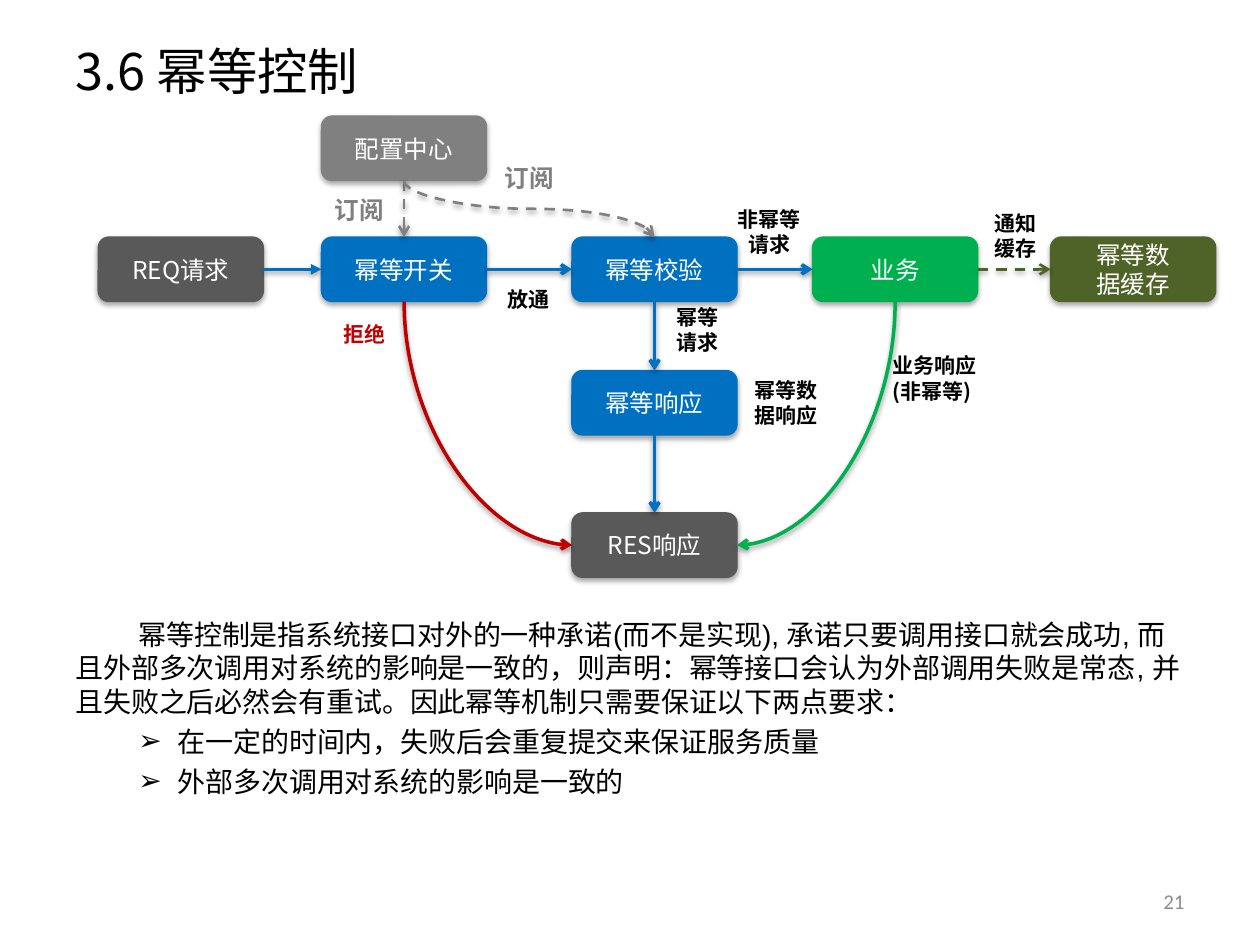
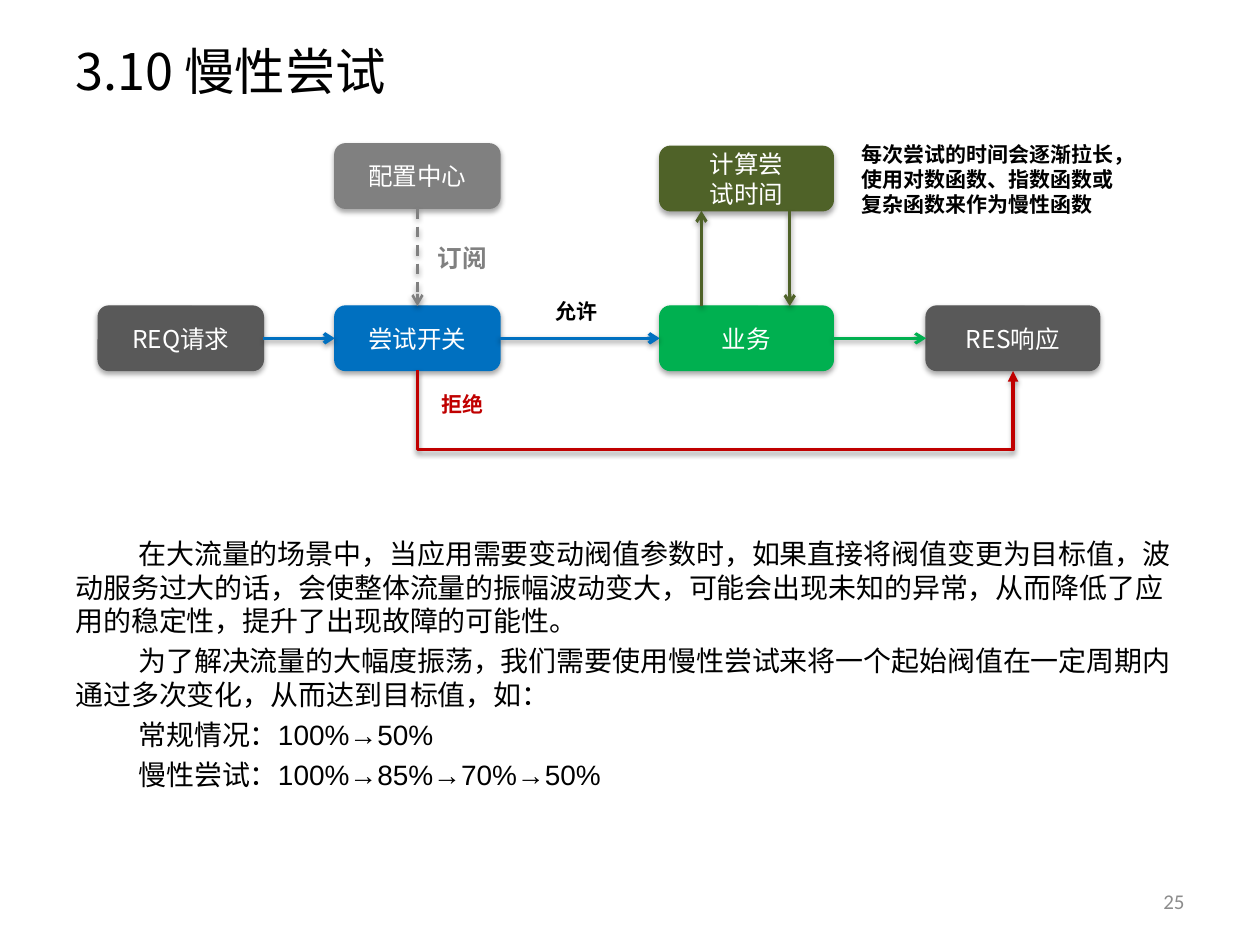
from lxml import etree
from pptx import Presentation
from pptx.dml.color import RGBColor
from pptx.enum.dml import MSO_LINE
from pptx.enum.shapes import MSO_CONNECTOR, MSO_SHAPE
from pptx.enum.text import MSO_ANCHOR, PP_ALIGN
from pptx.oxml.ns import qn
from pptx.util import Cm, Pt

STRAIGHT, CURVE, ELBOW = MSO_CONNECTOR.STRAIGHT, MSO_CONNECTOR.CURVE, MSO_CONNECTOR.ELBOW
ROUNDED = MSO_SHAPE.ROUNDED_RECTANGLE
DASH = MSO_LINE.DASH
TOP_ANCHOR, MIDDLE = MSO_ANCHOR.TOP, MSO_ANCHOR.MIDDLE
ALIGN_LEFT, CENTER, ALIGN_RIGHT = PP_ALIGN.LEFT, PP_ALIGN.CENTER, PP_ALIGN.RIGHT
TOP, LEFT, BOTTOM, RIGHT = 0, 1, 2, 3

BLACK = RGBColor(0x00, 0x00, 0x00)
WHITE = RGBColor(0xFF, 0xFF, 0xFF)
BLUE = RGBColor(0x00, 0x70, 0xC0)
GREEN = RGBColor(0x00, 0xB0, 0x50)
RED = RGBColor(0xC0, 0x00, 0x00)
OLIVE = RGBColor(0x4F, 0x62, 0x28)
DARK = RGBColor(0x59, 0x59, 0x59)
GRAY = RGBColor(0x80, 0x80, 0x80)
NUMBER_GRAY = RGBColor(0x8C, 0x8C, 0x8C)

CJK = "Noto Sans CJK SC"
NODE_WIDTH, NODE_HEIGHT = 3.33, 1.3
WIDE_NODE = 3.5


def style_text(frame, size, color, font=CJK, bold=False, align=ALIGN_LEFT):
    """Format every paragraph and run of a text frame."""
    for para in frame.paragraphs:
        para.alignment = align
        for span in para.runs:
            span.font.size = Pt(size)
            span.font.bold = bold
            span.font.color.rgb = color
            span.font.name = font
            etree.SubElement(span.font._element, qn("a:ea")).set("typeface", CJK)


def add_text(page, left, top, width, height, text, anchor=TOP_ANCHOR):
    """Add a wrapping text box and return its text frame."""
    frame = page.shapes.add_textbox(Cm(left), Cm(top), Cm(width), Cm(height)).text_frame
    frame.word_wrap = True
    frame.vertical_anchor = anchor
    frame.text = text
    return frame


def add_shadow(shape, distance, opacity):
    """Give a shape or connector a soft shadow below it."""
    properties = shape._element.spPr
    effects = properties.find(qn("a:effectLst"))
    if effects is None:
        effects = etree.SubElement(properties, qn("a:effectLst"))
    shadow = etree.SubElement(effects, qn("a:outerShdw"), blurRad="40000",
                              dist=str(distance), dir="5400000", rotWithShape="0")
    color = etree.SubElement(shadow, qn("a:srgbClr"), val="000000")
    etree.SubElement(color, qn("a:alpha"), val=str(opacity * 1000))


def add_node(page, left, top, text, color, width=NODE_WIDTH):
    """Add a rounded box of the flow."""
    node = page.shapes.add_shape(ROUNDED, Cm(left), Cm(top), Cm(width), Cm(NODE_HEIGHT))
    node.fill.solid()
    node.fill.fore_color.rgb = color
    node.line.color.rgb = color
    node.line.width = Pt(0.75)
    node.shadow.inherit = False
    add_shadow(node, 23000, 35)
    frame = node.text_frame
    frame.word_wrap = True
    frame.margin_top = frame.margin_bottom = 0
    frame.vertical_anchor = MIDDLE
    frame.text = text
    style_text(frame, 14, WHITE, align=CENTER)
    return node


def add_label(page, left, top, text, color=BLACK, size=12, align=ALIGN_LEFT):
    """Add a bold caption as wide as its first line."""
    lines = text.split("\n")
    width = 0.53 + len(lines[0]) * size * 0.0353
    height = 0.25 + len(lines) * size * 0.0425
    frame = add_text(page, left, top, width, height, text)
    style_text(frame, size, color, bold=True, align=align)


def style_link(link, color, width, dash=None, head="arrow"):
    """Set colour, dash, arrowhead and shadow of a connector."""
    link.line.color.rgb = color
    link.line.width = Pt(width)
    if dash:
        link.line.dash_style = dash
    etree.SubElement(link.line._get_or_add_ln(), qn("a:tailEnd"), type=head)
    add_shadow(link, 20000, 38)


def join(page, begin, begin_side, end, end_side, color, width=2.0, **style):
    """Join two nodes with a straight arrow."""
    link = page.shapes.add_connector(STRAIGHT, 0, 0, 0, 0)
    link.begin_connect(begin, begin_side)
    link.end_connect(end, end_side)
    style_link(link, color, width, **style)


def join_downward(page, begin, end, end_side, color, width=2.0, kind=CURVE,
                  preset=None, drop=None, **style):
    """Join two nodes with a routed arrow that leaves the first one downwards."""
    link = page.shapes.add_connector(kind, 0, 0, 0, 0)
    link.begin_connect(begin, BOTTOM)
    link.end_connect(end, end_side)
    start_x, start_y, end_x, end_y = link.begin_x, link.begin_y, link.end_x, link.end_y
    across, down = end_x - start_x, max(end_y - start_y, Cm(0.02))
    transform = link._element.spPr.find(qn("a:xfrm"))
    transform.attrib.pop("flipV", None)
    transform.set("flipH", "1" if across > 0 else "0")
    link.rotation = 270 if across > 0 else 90
    link.width, link.height = down, abs(across)
    link.left = (start_x + end_x - link.width) // 2
    link.top = (start_y + end_y - link.height) // 2
    geometry = link._element.spPr.find(qn("a:prstGeom"))
    if preset:
        geometry.set("prst", preset)
    if drop:
        guides = geometry.find(qn("a:avLst"))
        etree.SubElement(guides, qn("a:gd"), name="adj1",
                         fmla=f"val {round(Cm(drop) / down * 100000)}")
    style_link(link, color, width, **style)


def add_frame(page, title, number):
    """Add the title and page number shared by the slides."""
    heading = add_text(page, 1.27, 0.76, 22.86, 1.3, title, MIDDLE)
    style_text(heading, 28.8, BLACK)
    footer = add_text(page, 18.21, 17.65, 5.92, 1.02, number, MIDDLE)
    style_text(footer, 12, NUMBER_GRAY, font="Calibri", align=ALIGN_RIGHT)


def add_body(page, top, height, paragraphs, bullets=()):
    """Add indented paragraphs followed by arrow bullets."""
    frame = add_text(page, 1.27, top, 22.86, height, "\n".join([*paragraphs, *bullets]))
    style_text(frame, 16, BLACK, font="Arial")
    for index, para in enumerate(frame.paragraphs):
        para.space_before = Pt(3.7)
        properties = para._p.get_or_add_pPr()
        if index < len(paragraphs):
            properties.set("indent", str(Cm(1.27)))
        else:
            properties.set("marL", str(Cm(2.06)))
            properties.set("indent", str(-Cm(0.79)))
            etree.SubElement(properties, qn("a:buFont"), typeface="Arial")
            etree.SubElement(properties, qn("a:buChar"), char="➢")


def add_idempotent_flow(page, left, top):
    """Draw the idempotency flow from its top left corner."""
    columns = [left + offset for offset in (0, 4.5, 9.55, 14.4, 19.2)]
    main, reply, result = (top + offset for offset in (2.44, 5.13, 8))
    request = add_node(page, columns[0], main, "REQ请求", DARK)
    switch = add_node(page, columns[1], main, "幂等开关", BLUE)
    check = add_node(page, columns[2], main, "幂等校验", BLUE)
    business = add_node(page, columns[3], main, "业务", GREEN)
    cache = add_node(page, columns[4], main, "幂等数\n据缓存", OLIVE)
    config = add_node(page, columns[1], top, "配置中心", GRAY)
    answer = add_node(page, columns[2], reply, "幂等响应", BLUE)
    response = add_node(page, columns[2], result, "RES响应", DARK)

    join(page, request, RIGHT, switch, LEFT, BLUE, head="triangle")
    join(page, switch, RIGHT, check, LEFT, BLUE)
    join(page, check, RIGHT, business, LEFT, BLUE)
    join(page, business, RIGHT, cache, LEFT, OLIVE, 1.5, dash=DASH)
    join(page, check, BOTTOM, answer, TOP, BLUE)
    join(page, answer, BOTTOM, response, TOP, BLUE)
    join(page, config, BOTTOM, switch, TOP, GRAY, 1.5, dash=DASH)
    join_downward(page, config, check, TOP, GRAY, 1.5, dash=DASH)
    join_downward(page, switch, response, LEFT, RED, preset="curvedConnector2")
    join_downward(page, business, response, RIGHT, GREEN, preset="curvedConnector2")

    add_label(page, left + 4.52, top + 1.47, "订阅", GRAY, 14)
    add_label(page, left + 7.95, top + 0.83, "订阅", GRAY, 14)
    add_label(page, left + 8, top + 3.32, "放通")
    add_label(page, left + 4.7, top + 4.01, "拒绝", RED)
    add_label(page, left + 12.63, top + 1.7, "非幂等\n请求", align=CENTER)
    add_label(page, left + 11.41, top + 3.68, "幂等\n请求")
    add_label(page, left + 12.98, top + 5.15, "幂等数\n据响应")
    add_label(page, left + 15.77, top + 4.65, "业务响应\n(非幂等)")
    add_label(page, left + 17.81, top + 1.77, "通知\n缓存")


def add_gradual_flow(page, left, top):
    """Draw the gradual attempt flow from its top left corner."""
    columns = [left + offset for offset in (0, 4.77, 11.32, 16.69)]
    main = top + 3.27
    request = add_node(page, columns[0], main, "REQ请求", DARK)
    switch = add_node(page, columns[1], main, "尝试开关", BLUE)
    business = add_node(page, columns[2], main, "业务", GREEN, WIDE_NODE)
    response = add_node(page, columns[3], main, "RES响应", DARK, WIDE_NODE)
    config = add_node(page, columns[1], top, "配置中心", GRAY)
    timing_top = top + 0.05
    add_node(page, columns[2], timing_top, "计算尝\n试时间", OLIVE, WIDE_NODE)

    join(page, request, RIGHT, switch, LEFT, BLUE)
    join(page, switch, RIGHT, business, LEFT, BLUE)
    join(page, business, RIGHT, response, LEFT, GREEN, 1.75)
    join(page, config, BOTTOM, switch, TOP, GRAY, 1.5, dash=DASH)
    join_downward(page, switch, response, BOTTOM, RED, kind=ELBOW, drop=1.6, head="triangle")
    timing_bottom = timing_top + NODE_HEIGHT
    for offset, start, finish in ((0.84, main, timing_bottom), (2.62, timing_bottom, main)):
        x = Cm(columns[2] + offset)
        link = page.shapes.add_connector(STRAIGHT, x, Cm(start), x, Cm(finish))
        style_link(link, OLIVE, 1.75)

    add_label(page, left + 6.6, top + 1.88, "订阅", GRAY, 14)
    add_label(page, left + 6.68, top + 4.87, "拒绝", RED)
    add_label(page, left + 8.97, top + 2.99, "允许")
    add_label(page, left + 15.14, top - 0.18,
              "每次尝试的时间会逐渐拉长，\n使用对数函数、指数函数或\n复杂函数来作为慢性函数")


def main():
    """Build both slides and save the deck."""
    deck = Presentation()
    deck.slide_width, deck.slide_height = Cm(25.4), Cm(19.05)
    blank = deck.slide_layouts[6]

    page = deck.slides.add_slide(blank)
    add_frame(page, "3.6 幂等控制", "21")
    add_idempotent_flow(page, 1.98, 2.34)
    add_body(page, 12.32, 6.22, [
        "幂等控制是指系统接口对外的一种承诺(而不是实现), 承诺只要调用接口就会成功, "
        "而且外部多次调用对系统的影响是一致的，则声明：幂等接口会认为外部调用失败是常态, "
        "并且失败之后必然会有重试。因此幂等机制只需要保证以下两点要求：",
    ], ["在一定的时间内，失败后会重复提交来保证服务质量", "外部多次调用对系统的影响是一致的"])

    page = deck.slides.add_slide(blank)
    add_frame(page, "3.10 慢性尝试", "25")
    add_gradual_flow(page, 1.98, 2.9)
    add_body(page, 10.69, 5.77, [
        "在大流量的场景中，当应用需要变动阀值参数时，如果直接将阀值变更为目标值，"
        "波动服务过大的话，会使整体流量的振幅波动变大，可能会出现未知的异常，"
        "从而降低了应用的稳定性，提升了出现故障的可能性。",
        "为了解决流量的大幅度振荡，我们需要使用慢性尝试来将一个起始阀值在一定周期内"
        "通过多次变化，从而达到目标值，如：",
        "常规情况：100%→50%",
        "慢性尝试：100%→85%→70%→50%",
    ])
    deck.save("out.pptx")


if __name__ == "__main__":
    main()
